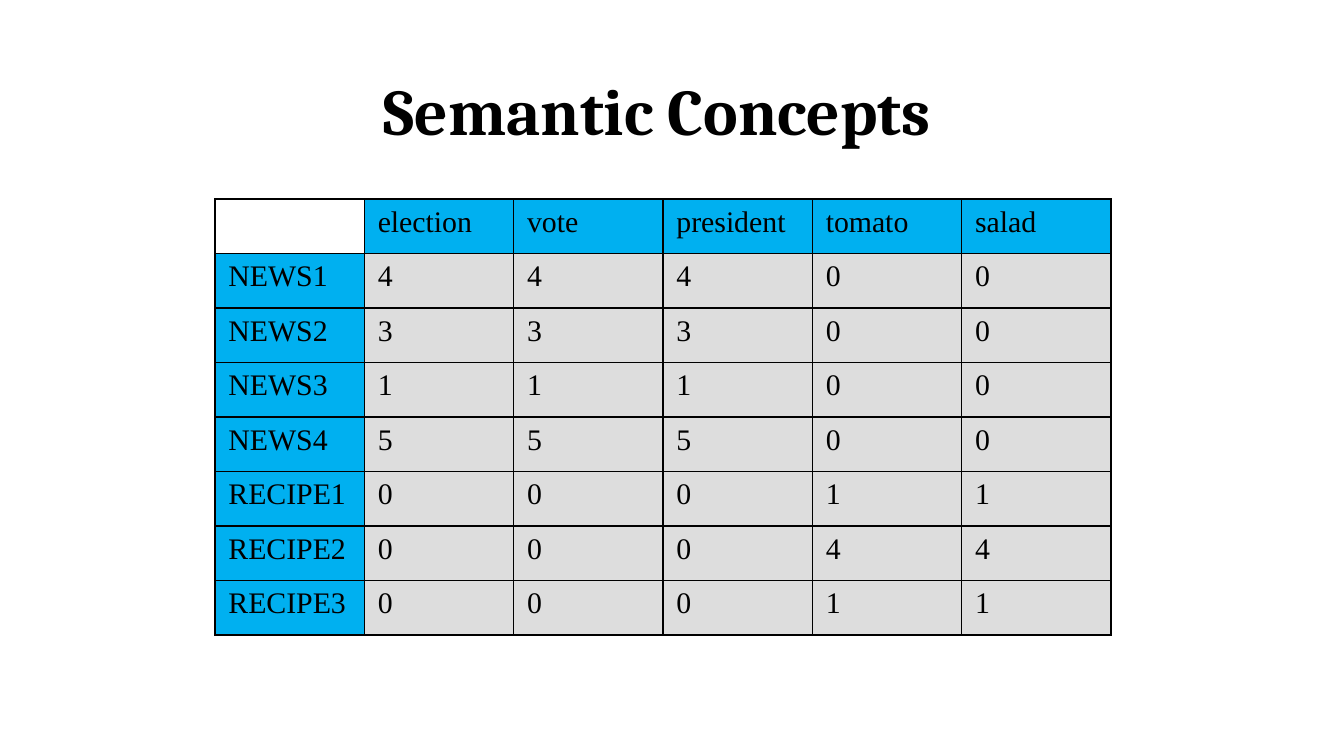
"""Build a slide with a term-by-document count table."""
from lxml import etree
from pptx import Presentation
from pptx.dml.color import RGBColor
from pptx.enum import text
from pptx.oxml import ns
from pptx.util import Pt

BLACK = RGBColor(0x00, 0x00, 0x00)
BLUE = RGBColor(0x00, 0xB0, 0xF0)
GRAY = RGBColor(0xDD, 0xDD, 0xDD)

TERMS = ["election", "vote", "president", "tomato", "salad"]
COUNTS = {
    "NEWS1": [4, 4, 4, 0, 0],
    "NEWS2": [3, 3, 3, 0, 0],
    "NEWS3": [1, 1, 1, 0, 0],
    "NEWS4": [5, 5, 5, 0, 0],
    "RECIPE1": [0, 0, 0, 1, 1],
    "RECIPE2": [0, 0, 0, 4, 4],
    "RECIPE3": [0, 0, 0, 1, 1],
}


def write(frame, content, *, font, size, bold=False, align=text.PP_ALIGN.LEFT):
    para = frame.paragraphs[0]
    para.alignment = align
    para.font.size = Pt(size)
    if not content:
        return
    span = para.add_run()
    span.text = content
    span.font.name = font
    span.font.size = Pt(size)
    span.font.bold = bold
    span.font.color.rgb = BLACK


def add_borders(cell, width):
    properties = cell._tc.get_or_add_tcPr()
    for side in ("a:lnL", "a:lnR", "a:lnT", "a:lnB"):
        line = etree.SubElement(properties, ns.qn(side), w=str(Pt(width)))
        fill = etree.SubElement(line, ns.qn("a:solidFill"))
        etree.SubElement(fill, ns.qn("a:srgbClr"), val=str(BLACK))


class SlideBuilder:
    title_font = "Cambria"
    body_font = "Times New Roman"

    def __init__(self, page):
        self.page = page

    def title(self, content, left, top, width, height):
        box = self.page.shapes.title
        box.left, box.top = Pt(left), Pt(top)
        box.width, box.height = Pt(width), Pt(height)
        box.text_frame.vertical_anchor = text.MSO_ANCHOR.MIDDLE
        write(box.text_frame, content, font=self.title_font, size=35,
              bold=True, align=text.PP_ALIGN.CENTER)

    def table(self, rows, left, top, column_width, row_height):
        row_count, column_count = len(rows), len(rows[0])
        table = self.page.shapes.add_table(
            row_count, column_count, Pt(left), Pt(top),
            Pt(column_width * column_count), Pt(row_height * row_count)).table
        for column in table.columns:
            column.width = Pt(column_width)
        for row in table.rows:
            row.height = Pt(row_height)
        for r, values in enumerate(rows):
            for c, value in enumerate(values):
                cell = table.cell(r, c)
                write(cell.text_frame, str(value), font=self.body_font, size=16)
                add_borders(cell, 1)
                if r == c == 0:
                    cell.fill.background()
                else:
                    cell.fill.solid()
                    cell.fill.fore_color.rgb = GRAY if r and c else BLUE


def main():
    deck = Presentation()
    deck.slide_width, deck.slide_height = Pt(720), Pt(405)
    builder = SlideBuilder(deck.slides.add_slide(deck.slide_layouts[5]))
    builder.title("Semantic Concepts", 20, 31, 664, 55.5)
    rows = [["", *TERMS]] + [[name, *counts] for name, counts in COUNTS.items()]
    builder.table(rows, left=115.2, top=106.6, column_width=80, row_height=29.2)
    deck.save("out.pptx")


if __name__ == "__main__":
    main()
